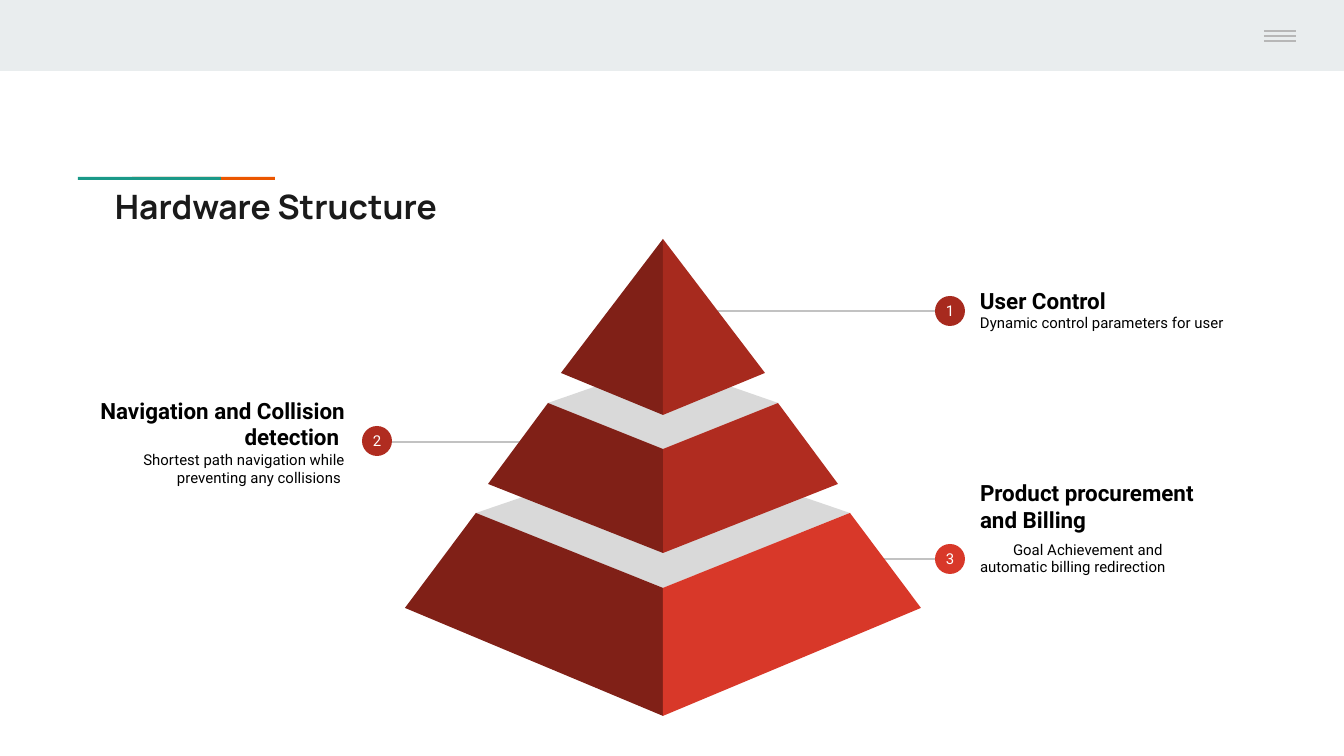
import pptx
import pptx.dml.color
import pptx.enum.shapes
import pptx.enum.text
import pptx.oxml.ns
import pptx.util
from lxml import etree

PX = 914400 / 134.4  # EMU in one px
THEME = {
    "header": "E9EDEE", "menu": "B7B7B7", "teal": "1A9988", "orange": "EB5600",
    "title": "1A1A1A", "text": "000000", "badge_text": "FFFFFF", "leader": "C2C2C2",
    "lid": "D9D9D9", "shade": "802017",
    "top": "A72A1E", "middle": "B02C20", "bottom": "D83829",
    "title_font": "Manrope", "body_font": "Roboto",
    "title_size": 18, "heading_size": 12, "body_size": 8,
}
RECT = pptx.enum.shapes.MSO_SHAPE.RECTANGLE
OVAL = pptx.enum.shapes.MSO_SHAPE.OVAL
STRAIGHT = pptx.enum.shapes.MSO_CONNECTOR.STRAIGHT
ALIGN = pptx.enum.text.PP_ALIGN
ANCHOR = pptx.enum.text.MSO_ANCHOR


def px(*lengths):
    return [pptx.util.Emu(round(length * PX)) for length in lengths]


def color(name):
    return pptx.dml.color.RGBColor.from_string(THEME[name])


prs = pptx.Presentation()
prs.slide_width, prs.slide_height = px(1344, 756)
slide = prs.slides.add_slide(prs.slide_layouts[6])
shapes = slide.shapes

# Header band and title accent; teal overlaps orange
for box, fill in [((0, 0, 1344, 71), "header"),
                  ((132, 177, 143, 3), "orange"),
                  ((78, 177, 143, 3), "teal")]:
    bar = shapes.add_shape(RECT, *px(*box))
    bar.shadow.inherit = False
    bar.fill.solid()
    bar.fill.fore_color.rgb = color(fill)
    bar.line.fill.background()

# Menu icon, then leaders from the pyramid to the badges
lines = [(1264, 1296, y, "menu") for y in (31, 36, 41)]
lines += [(712, 936, 311, "leader"), (524, 391, 442, "leader"), (879, 936, 559, "leader")]
for start, end, y, stroke in lines:
    line = shapes.add_connector(STRAIGHT, *px(start, y, end, y))
    line.line.color.rgb = color(stroke)
    line.line.width = pptx.util.Pt(0.75)
    etree.SubElement(line._element.spPr, pptx.oxml.ns.qn("a:effectLst"))

# Text: box, anchor, alignment, paragraphs of (words, size, font, bold, colour, indent, space before)
heading = ("heading_size", "body_font", True, "text", 0, 0)
body = ("body_size", "body_font", False, "text", 0, 0)
indented_body = ("body_size", "body_font", False, "text", 33, 4)
texts = [
    ((102, 173, 558, 219), ANCHOR.TOP, ALIGN.LEFT, [
        ("Hardware Structure", "title_size", "title_font", True, "title", 0, 0)]),
    ((967, 208, 274, 203), ANCHOR.MIDDLE, ALIGN.LEFT, [
        ("User Control", *heading),
        ("Dynamic control parameters for user", *body)]),
    ((84, 340, 274, 203), ANCHOR.MIDDLE, ALIGN.RIGHT, [
        ("Navigation and Collision detection ", *heading),
        ("Shortest path navigation while preventing any collisions ", *body)]),
    ((967, 466, 264, 191), ANCHOR.TOP, ALIGN.LEFT, [
        ("Product procurement and Billing", *heading),
        ("Goal Achievement and automatic billing redirection", *indented_body)]),
]
for box, anchor, alignment, paragraphs in texts:
    frame = shapes.add_textbox(*px(*box)).text_frame
    frame.word_wrap = True
    frame.vertical_anchor = anchor
    frame.margin_left, frame.margin_top, frame.margin_right, frame.margin_bottom = px(13, 13, 13, 13)
    for i, (words, size, font, bold, ink, indent, before) in enumerate(paragraphs):
        paragraph = frame.add_paragraph() if i else frame.paragraphs[0]
        paragraph.alignment = alignment
        if indent:
            paragraph._p.get_or_add_pPr().set("indent", str(px(indent)[0]))
            paragraph.space_before = pptx.util.Pt(before)
        run = paragraph.add_run()
        run.text = words
        run.font.size = pptx.util.Pt(THEME[size])
        run.font.name = THEME[font]
        run.font.bold = bold
        run.font.color.rgb = color(ink)

# Numbered badges
for number, left, top, fill in [("1", 935, 296, "top"),
                                ("2", 362, 426, "middle"),
                                ("3", 935, 544, "bottom")]:
    badge = shapes.add_shape(OVAL, *px(left, top, 30, 30))
    badge.shadow.inherit = False
    badge.fill.solid()
    badge.fill.fore_color.rgb = color(fill)
    badge.line.fill.background()
    frame = badge.text_frame
    frame.word_wrap = False
    frame.vertical_anchor = ANCHOR.MIDDLE
    frame.margin_left = frame.margin_top = frame.margin_right = frame.margin_bottom = 0
    frame.paragraphs[0].alignment = ALIGN.CENTER
    run = frame.paragraphs[0].add_run()
    run.text = number
    run.font.size = pptx.util.Pt(THEME["body_size"])
    run.font.name = THEME["body_font"]
    run.font.color.rgb = color("badge_text")

# Pyramid, bottom tier first; x is the distance from the centre line
CENTER = 663
tiers = [
    ("bottom", [(187, 513), (258, 608), (0, 716), (0, 588)],
     [(-187, 513), (0, 588), (187, 513), (0, 449)]),
    ("middle", [(115, 403), (175, 484), (0, 553), (0, 449)],
     [(-115, 403), (0, 449), (115, 403), (0, 363)]),
    ("top", [(0, 239), (102, 373), (0, 415)], []),
]
for fill, face, lid in tiers:
    mirrored = [(-x, y) for x, y in face]
    for outline, tone in [(lid, "lid"), (mirrored, "shade"), (face, fill)]:
        if not outline:
            continue
        points = [(CENTER + x, y) for x, y in outline]
        builder = shapes.build_freeform(*points[0], scale=PX)
        builder.add_line_segments(points[1:], close=True)
        side = builder.convert_to_shape()
        side.shadow.inherit = False
        side.fill.solid()
        side.fill.fore_color.rgb = color(tone)
        side.line.fill.background()

prs.save("out.pptx")
